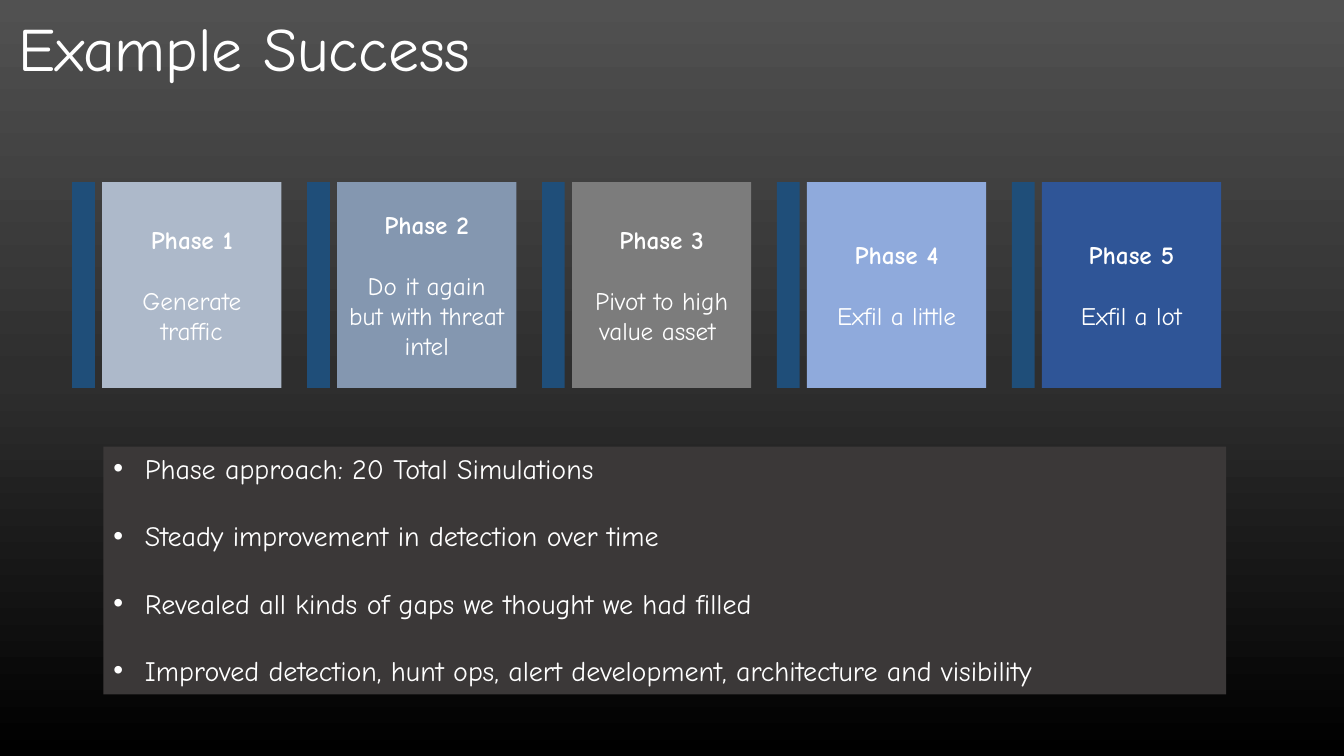
from copy import deepcopy

from lxml import etree
from pptx import Presentation
from pptx.dml.color import RGBColor
from pptx.enum.shapes import MSO_SHAPE
from pptx.enum.text import MSO_ANCHOR, PP_ALIGN
from pptx.oxml.ns import qn
from pptx.util import Pt

RECTANGLE = MSO_SHAPE.RECTANGLE
TOP, MIDDLE = MSO_ANCHOR.TOP, MSO_ANCHOR.MIDDLE
LEFT, CENTER = PP_ALIGN.LEFT, PP_ALIGN.CENTER

PHASES = [
    ("Phase 1", ["Generate traffic"], "ADB9CA"),
    ("Phase 2", ["Do it again", "but with threat intel"], "8497B0"),
    ("Phase 3", ["Pivot to high value asset "], "7C7C7C"),
    ("Phase 4", ["Exfil a little"], "8FAADC"),
    ("Phase 5", ["Exfil a lot"], "2F5597"),
]
OUTCOMES = [
    "Phase approach: 20 Total Simulations",
    "Steady improvement in detection over time",
    "Revealed all kinds of gaps we thought we had filled",
    "Improved detection, hunt ops, alert development, architecture and visibility",
]
PHASE_LEFT, PHASE_TOP, PHASE_PITCH, PHASE_HEIGHT = 51.6, 130.1, 167.8, 147
ACCENT_WIDTH, CARD_OFFSET, CARD_WIDTH = 16.2, 21.4, 128


def rgb(value):
    return RGBColor.from_string(value)


class Deck:
    font = "Comic Neue"
    ink = "FFFFFF"
    accent = "1F4E79"

    def __init__(self, slide):
        self.slide = slide

    def background(self, colors):
        fill = self.slide.background.fill
        fill.gradient()
        fill.gradient_angle = 270
        first = next(self.slide.element.iter(qn("a:gs")))
        for _ in colors[2:]:
            first.addnext(deepcopy(first))
        for index, (stop, color) in enumerate(zip(fill.gradient_stops, colors)):
            stop.position = index / (len(colors) - 1)
            stop.color.rgb = rgb(color)

    def rectangle(self, parent, left, top, width, height, color):
        shape = parent.add_shape(RECTANGLE, Pt(left), Pt(top), Pt(width), Pt(height))
        shape.shadow.inherit = False
        shape.fill.solid()
        shape.fill.fore_color.rgb = rgb(color)
        shape.line.fill.background()
        return shape

    def frame(self, shape, anchor):
        shape.text_frame.word_wrap = True
        shape.text_frame.vertical_anchor = anchor
        return shape.text_frame

    def paragraph(self, frame, text, size, align=LEFT, bold=False, before=0, bullet=False):
        first = not frame.paragraphs[0].runs
        paragraph = frame.paragraphs[0] if first else frame.add_paragraph()
        paragraph.alignment = align
        if before and not first:
            paragraph.space_before = Pt(before)
        if bullet:
            properties = paragraph._p.get_or_add_pPr()
            properties.set("marL", str(Pt(22.5)))
            properties.set("indent", str(Pt(-22.5)))
            etree.SubElement(properties, qn("a:buFont")).set("typeface", "Arial")
            etree.SubElement(properties, qn("a:buChar")).set("char", "•")
        run = paragraph.add_run()
        run.text = text
        run.font.name = self.font
        run.font.size = Pt(size)
        run.font.bold = bold
        run.font.color.rgb = rgb(self.ink)
        return paragraph

    def title(self, text):
        box = self.slide.shapes.add_textbox(Pt(5.8), Pt(1.4), Pt(828), Pt(71.3))
        self.paragraph(self.frame(box, MIDDLE), text, 44).line_spacing = 0.9

    def phase(self, left, name, steps, color):
        group = self.slide.shapes.add_group_shape().shapes
        card = self.rectangle(group, left + CARD_OFFSET, PHASE_TOP, CARD_WIDTH, PHASE_HEIGHT, color)
        self.rectangle(group, left, PHASE_TOP, ACCENT_WIDTH, PHASE_HEIGHT, self.accent)
        frame = self.frame(card, MIDDLE)
        self.paragraph(frame, name, 18, CENTER, bold=True)
        for index, step in enumerate(steps):
            self.paragraph(frame, step, 18, CENTER, before=0 if index else 21.6)

    def bullets(self, items):
        panel = self.rectangle(self.slide.shapes, 73.9, 319, 802, 177, "3B3838")
        frame = self.frame(panel, TOP)
        for item in items:
            self.paragraph(frame, item, 20, before=24, bullet=True)


def main():
    presentation = Presentation()
    presentation.slide_width, presentation.slide_height = Pt(960), Pt(540)
    deck = Deck(presentation.slides.add_slide(presentation.slide_layouts[6]))
    deck.background(["515151", "2E2E2E", "000000"])
    deck.title("Example Success")
    for index, (name, steps, color) in enumerate(PHASES):
        deck.phase(PHASE_LEFT + index * PHASE_PITCH, name, steps, color)
    deck.bullets(OUTCOMES)
    presentation.save("out.pptx")


if __name__ == "__main__":
    main()
